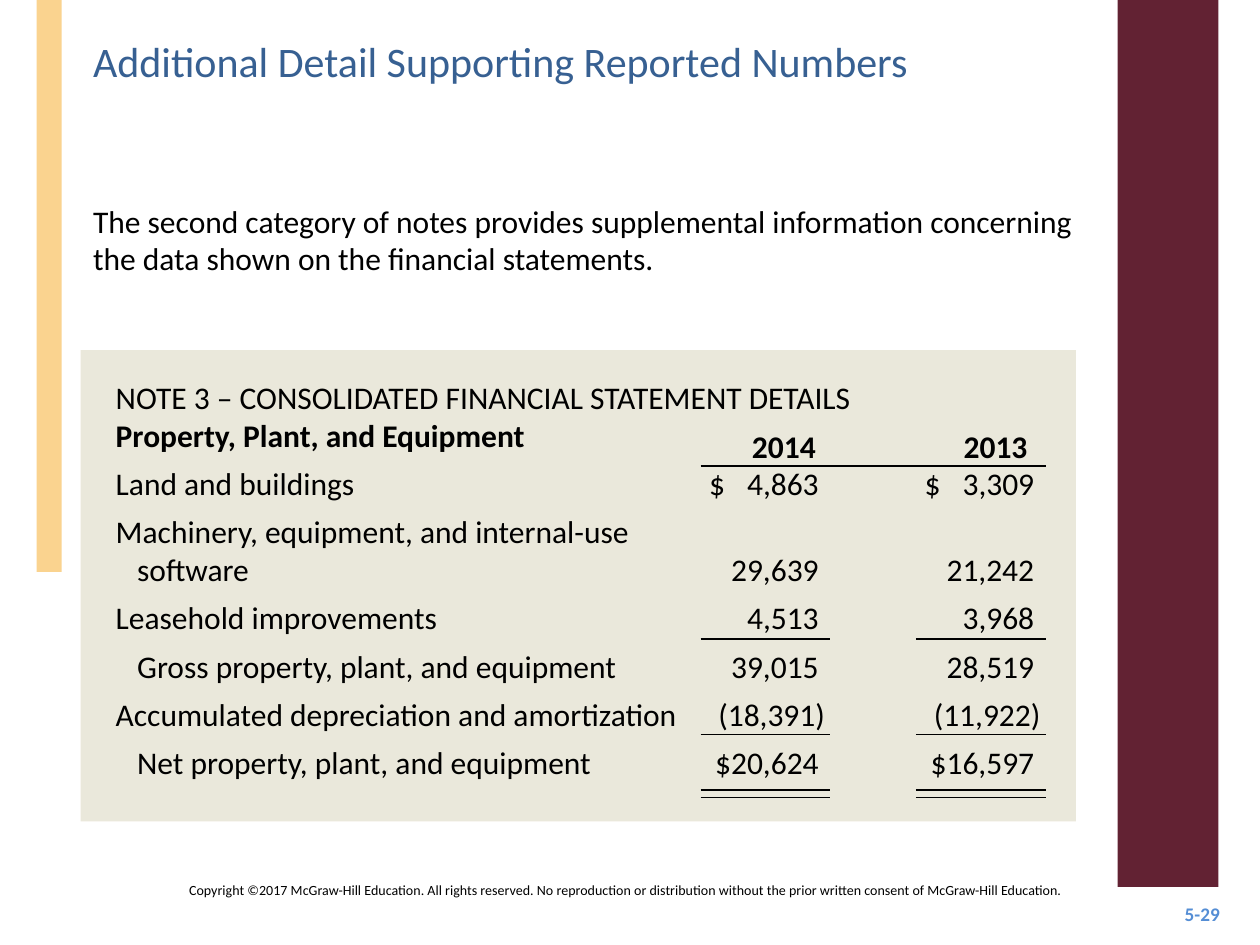
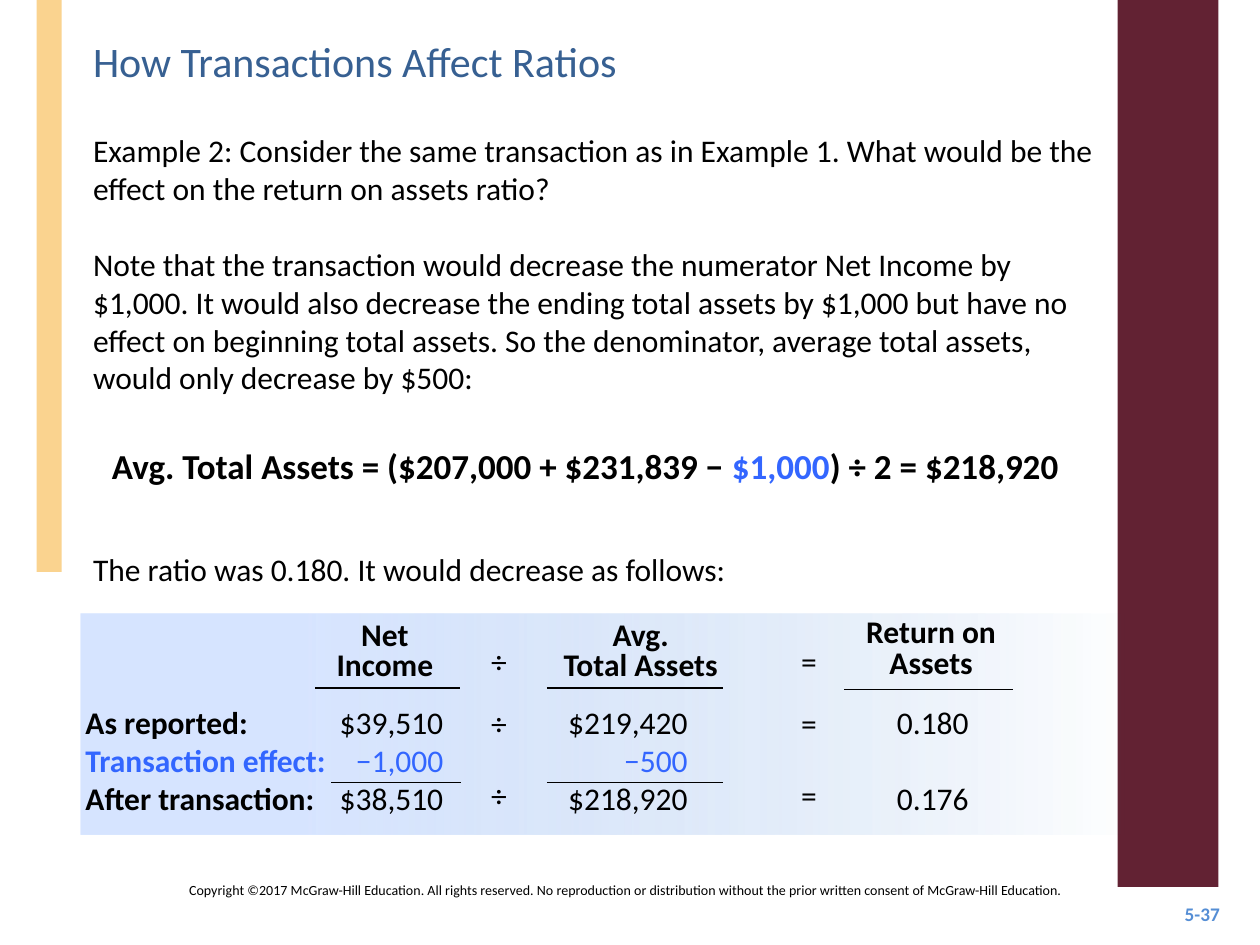
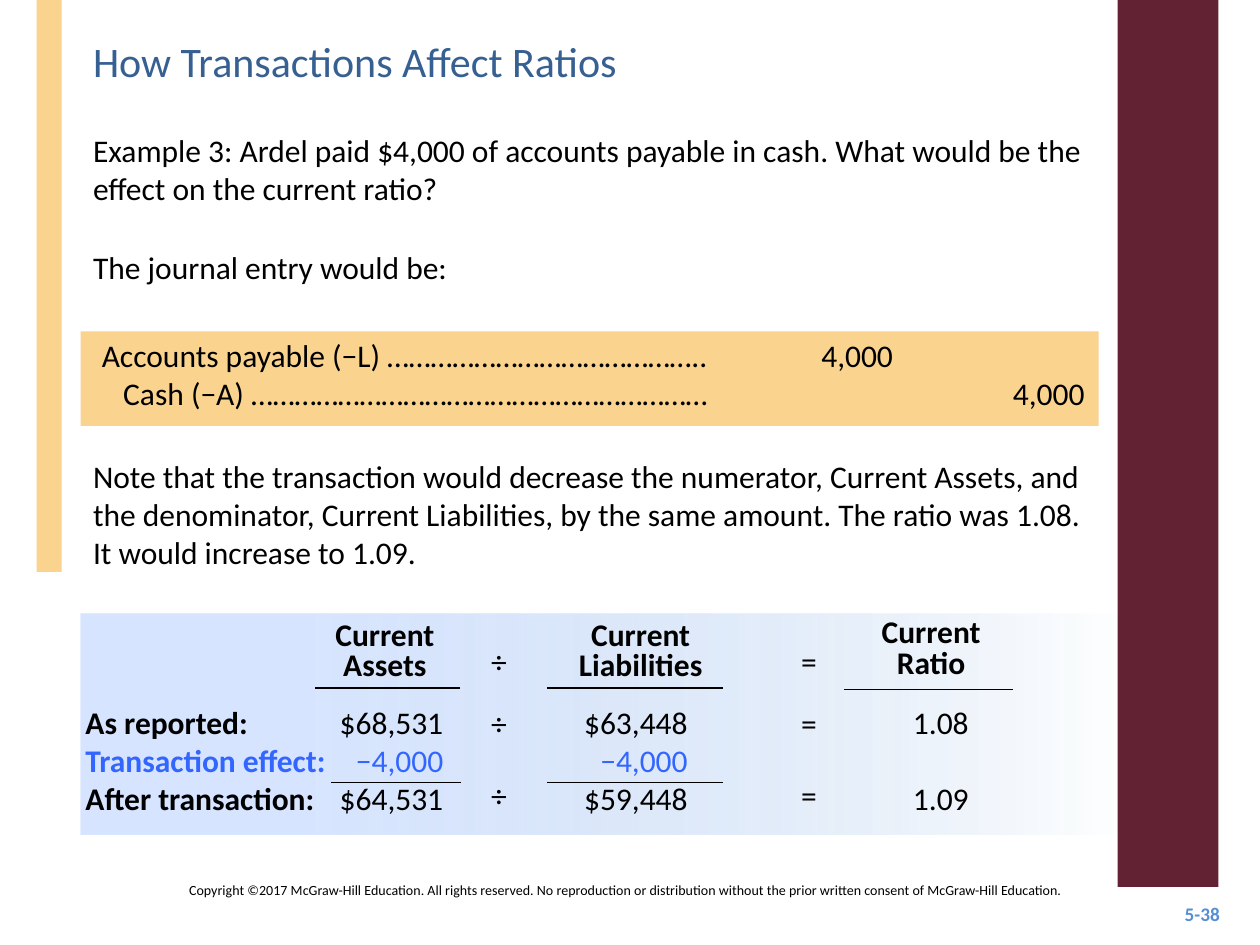
import pptx
import pptx.util
import pptx.dml.color
import pptx.enum.shapes
import pptx.enum.text
import pptx.oxml.ns
import lxml.etree

# ---------- Content ----------
COPYRIGHT = ("Copyright ©2017 McGraw-Hill Education. All rights reserved. No reproduction or "
             "distribution without the prior written consent of McGraw-Hill Education.")

NOTE_INTRO = ("The second category of notes provides supplemental information concerning "
              "the data shown on the financial statements.")
NOTE_HEADING = "NOTE 3 – CONSOLIDATED FINANCIAL STATEMENT DETAILS"
NOTE_SUBHEADING = "Property, Plant, and Equipment"
NOTE_YEARS = ("2014", "2013")
# label, then sign and amount for each year
NOTE_ROWS = [
    ("Land and buildings", "$", "4,863", "$", "3,309"),
    ("Machinery, equipment, and internal-use\v\tsoftware", "", "29,639", "", "21,242"),
    ("Leasehold improvements", "", "4,513", "", "3,968"),
    ("\tGross property, plant, and equipment", "", "39,015", "", "28,519"),
    ("Accumulated depreciation and amortization", "", "(18,391)", "", "(11,922)"),
    ("\tNet property, plant, and equipment", "", "$20,624", "", "$16,597"),
]

ASSETS_EXAMPLE = [
    ("Example 2: Consider the same transaction as in Example 1. What would be the effect "
     "on the return on assets ratio?", 0),
    ("Note that the transaction would decrease the numerator Net Income by $1,000. It would "
     "also decrease the ending total assets by $1,000 but have no effect on beginning total "
     "assets. So the denominator, average total assets, would only decrease by $500:", 1),
    ("The ratio was 0.180. It would decrease as follows:", 4),
]  # text, lines of space before
ASSETS_FORMULA = [
    ("Avg. Total Assets = ($207,000 + $231,839 −", {}),
    (" $1,000", {"color": "effect"}),
    (") ÷ 2 = $218,920", {}),
]
ASSETS_RATIO = {
    "headers": [("Net", "Income"), ("Avg.", "Total Assets"), ("Return on", "Assets")],
    "rows": [("$39,510", "$219,420", "0.180"), ("−1,000", "−500"),
             ("$38,510", "$218,920", "0.176")],
}

CURRENT_EXAMPLE = [
    (0.99, ["Example 3: Ardel paid $4,000 of accounts payable in cash. What would be the "
            "effect on the current ratio?"]),
    (1.92, ["The journal entry would be:"]),
    (3.58, ["Note that the transaction would decrease the numerator, Current Assets, and the "
            "denominator, Current Liabilities, by the same amount. The ratio was 1.08.",
            "It would increase to 1.09."]),
]  # top, paragraphs
JOURNAL_ENTRY = ["Accounts payable (−L) ……………………………………..\t4,000",
                 "\tCash (−A) ………………………………………………………\t\t4,000"]
CURRENT_RATIO = {
    "headers": [("Current", "Assets"), ("Current", "Liabilities"), ("Current", "Ratio")],
    "rows": [("$68,531", "$63,448", "1.08"), ("−4,000", "−4,000"),
             ("$64,531", "$59,448", "1.09")],
}
RATIO_LABELS = ("As reported:", "Transaction effect:", "After transaction:")

# ---------- Shared style ----------
COLORS = {"text": "000000", "title": "376092", "page": "558ED5", "gold": "FAD38F",
          "maroon": "622233", "note": "DDD9C3", "effect": "3366FF",
          "fade": "3F80CE", "sky": "A4C4FF"}
FONT = "Calibri"
BODY_SIZE = 18
LINE_POINTS = 22
LEFT = 0.64
INDENT = (0.17, "l")
ALIGN = pptx.enum.text.PP_ALIGN
ANCHOR = pptx.enum.text.MSO_ANCHOR
QN = pptx.oxml.ns.qn


def rgb(name):
    return pptx.dml.color.RGBColor.from_string(COLORS[name])


def inches(*values):
    return [pptx.util.Inches(value) for value in values]


def add_tabs(paragraph, stops):
    tab_list = lxml.etree.SubElement(paragraph._p.get_or_add_pPr(), QN("a:tabLst"))
    for position, alignment in stops:
        lxml.etree.SubElement(tab_list, QN("a:tab"), algn=alignment,
                              pos=str(pptx.util.Inches(position)))


def add_run(paragraph, text, size=BODY_SIZE, color="text", bold=False):
    for index, line in enumerate(text.split("\v")):
        if index:
            paragraph.add_line_break()
        run = paragraph.add_run()
        run.text = line
        settings = {"name": FONT, "size": pptx.util.Pt(size), "bold": bold}
        for name, value in settings.items():
            setattr(run.font, name, value)
        run.font.color.rgb = rgb(color)


def add_text(slide, box, paragraphs, anchor=ANCHOR.TOP, **style):
    """Each paragraph is a string, or a dict of runs, tabs and paragraph format."""
    frame = slide.shapes.add_textbox(*inches(*box)).text_frame
    frame.word_wrap = True
    frame.vertical_anchor = anchor
    for index, content in enumerate(paragraphs):
        paragraph = frame.paragraphs[0] if index == 0 else frame.add_paragraph()
        if isinstance(content, str):
            content = {"runs": [(content, {})]}
        if "tabs" in content:
            add_tabs(paragraph, content["tabs"])
        for name, value in content.get("format", {}).items():
            setattr(paragraph, name, value)
        for text, changes in content["runs"]:
            add_run(paragraph, text, **{**style, **changes})


def add_block(slide, box, color=None):
    shape = slide.shapes.add_shape(pptx.enum.shapes.MSO_SHAPE.RECTANGLE, *inches(*box))
    shape.shadow.inherit = False
    shape.line.fill.background()
    if color:
        shape.fill.solid()
        shape.fill.fore_color.rgb = rgb(color)
    return shape


def set_opacity(shape, *percents):
    colors = shape._element.spPr.iter(QN("a:srgbClr"))
    for color, percent in zip(list(colors), percents):
        lxml.etree.SubElement(color, QN("a:alpha"), val=str(percent * 1000))


def add_rule(slide, start, end, y, width):
    line = slide.shapes.add_connector(pptx.enum.shapes.MSO_CONNECTOR.STRAIGHT,
                                      *inches(start, y, end, y))
    line.line.color.rgb = rgb("text")
    line.line.width = pptx.util.Pt(width)
    lxml.etree.SubElement(line._element.spPr, QN("a:effectLst"))


def add_page(presentation, title, number):
    slide = presentation.slides.add_slide(presentation.slide_layouts[6])
    add_text(slide, (9.03, 7.05, 0.75, 0.4),
             [{"runs": [(number, {})], "format": {"alignment": ALIGN.RIGHT}}],
             ANCHOR.MIDDLE, size=11, color="page", bold=True)
    add_block(slide, (0.29, 0, 0.2, 4.54), "gold")
    add_block(slide, (8.87, 0, 0.8, 7.04), "maroon")
    add_text(slide, (LEFT, 0.23, 8.37, 0.6), [title], size=24, color="title")
    add_text(slide, (1.27, 6.95, 7.4, 0.4),
             [{"runs": [(COPYRIGHT, {})], "format": {"alignment": ALIGN.CENTER}}], size=8)
    return slide


def add_ratio_panel(slide, headers, rows):
    # Fading background
    panel = add_block(slide, (LEFT, 4.87, 8.28, 1.75))
    panel.fill.gradient()
    panel.fill.gradient_angle = 180
    for stop, (position, color) in zip(panel.fill.gradient_stops,
                                       ((0, "fade"), (0.79, "sky"))):
        stop.position = position
        stop.color.rgb = rgb(color)
    set_opacity(panel, 0, 43)

    # Column headings and rules
    heading = {"alignment": ALIGN.CENTER, "line_spacing": 0.8}
    boxes = ((2.27, 4.89, 1.57, 0.6), (3.68, 4.89, 2.81, 0.84), (6.4, 4.87, 1.98, 0.84))
    for box, lines in zip(boxes, headers):
        add_text(slide, box, [{"runs": [(line, {})], "format": heading} for line in lines],
                 bold=True)
    for start, end, y in ((2.5, 3.65, 5.46), (4.34, 5.74, 5.46), (6.7, 8.04, 5.47),
                          (2.63, 3.66, 6.21), (4.34, 5.74, 6.21)):
        add_rule(slide, start, end, y, 0.75)

    # Figures
    stops = [(2.84, "r"), (4.78, "r"), (7.01, "r")]
    paragraphs = []
    for label, values, color in zip(RATIO_LABELS, rows, ("text", "effect", "text")):
        figures = "".join("\t" + value for value in values)
        paragraphs.append({"tabs": stops, "runs": [(label, {"color": color, "bold": True}),
                                                   (figures, {"color": color})]})
    add_text(slide, (0.58, 5.53, 8.35, 1.01), paragraphs)

    # Operators
    for y in (5.05, 5.54, 6.11):
        for x, sign in ((3.8, "÷"), (6.26, "=")):
            add_text(slide, (x, y, 0.33, 0.4), [sign])


def build_note_slide(presentation):
    slide = add_page(presentation, "Additional Detail Supporting Reported Numbers", "5-29")
    add_text(slide, (LEFT, 1.55, 8.31, 0.71), [NOTE_INTRO])
    set_opacity(add_block(slide, (LEFT, 2.78, 7.9, 3.74), "note"), 60)

    # Note lines; a closing bracket hangs past the digits
    paragraphs = [NOTE_HEADING, {"runs": [(NOTE_SUBHEADING, {"bold": True})]}]
    for row in NOTE_ROWS:
        hang = 0.05 if row[-1].endswith(")") else 0
        stops = [INDENT, (4.71, "l"), (5.58 + hang, "r"), (6.42, "l"), (7.29 + hang, "r")]
        paragraphs.append({"tabs": stops, "runs": [("\t".join(row), {})],
                           "format": {"space_before": pptx.util.Pt(6)}})
    add_text(slide, (0.82, 2.95, 8.01, 3.33), paragraphs)
    add_text(slide, (5.87, 3.34, 2.86, 0.4),
             [{"tabs": [(1.68, "l")], "runs": [("\t".join(NOTE_YEARS), {})]}], bold=True)

    # Heading rule, subtotal rules and double total rules
    add_rule(slide, 5.56, 8.3, 3.7, 1)
    for y in (5.07, 5.83, 6.27, 6.33):
        for start in (5.56, 7.27):
            add_rule(slide, start, start + 1.03, y, 1)


def build_assets_slide(presentation):
    slide = add_page(presentation, "How Transactions Affect Ratios", "5-37")
    add_text(slide, (LEFT, 0.99, 8.28, 6.02),
             [{"runs": [(text, {})],
               "format": {"space_before": pptx.util.Pt(gap * LINE_POINTS)}}
              for text, gap in ASSETS_EXAMPLE])
    add_text(slide, (0.79, 3.48, 7.88, 0.44), [{"runs": ASSETS_FORMULA}], size=20, bold=True)
    add_ratio_panel(slide, **ASSETS_RATIO)


def build_current_slide(presentation):
    slide = add_page(presentation, "How Transactions Affect Ratios", "5-38")
    for top, paragraphs in CURRENT_EXAMPLE:
        add_text(slide, (LEFT, top, 8.2, 0.71), paragraphs)
    add_block(slide, (LEFT, 2.63, 8.08, 0.75), "gold")
    stops = [INDENT, (6.28, "r"), (7.8, "r")]
    add_text(slide, (0.71, 2.62, 8.4, 0.71),
             [{"tabs": stops, "runs": [(line, {})]} for line in JOURNAL_ENTRY])
    add_ratio_panel(slide, **CURRENT_RATIO)


def main():
    presentation = pptx.Presentation()
    presentation.slide_width, presentation.slide_height = inches(10, 7.5)
    build_note_slide(presentation)
    build_assets_slide(presentation)
    build_current_slide(presentation)
    presentation.save("out.pptx")


if __name__ == "__main__":
    main()
